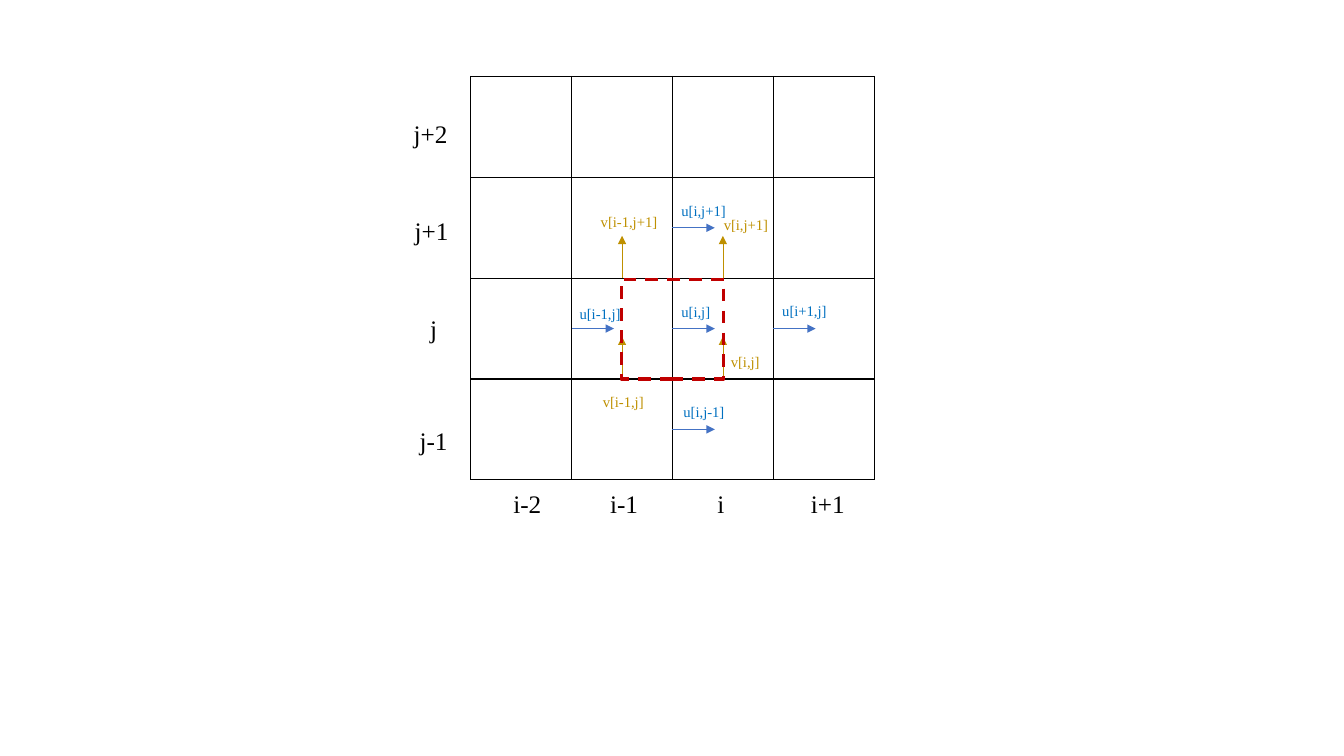
from lxml import etree
from pptx import Presentation
from pptx.dml.color import RGBColor
from pptx.enum.dml import MSO_LINE
from pptx.enum.shapes import MSO_CONNECTOR, MSO_SHAPE
from pptx.enum.text import MSO_AUTO_SIZE, PP_ALIGN
from pptx.oxml import parse_xml
from pptx.oxml.ns import nsdecls, qn
from pptx.util import Inches, Pt

LINE, RECT, DASH = MSO_CONNECTOR.STRAIGHT, MSO_SHAPE.RECTANGLE, MSO_LINE.DASH
GROW, LEFT, MID = MSO_AUTO_SIZE.SHAPE_TO_FIT_TEXT, PP_ALIGN.LEFT, PP_ALIGN.CENTER
BLACK = RGBColor(0x00, 0x00, 0x00)
BLUE = RGBColor(0x44, 0x72, 0xC4)
AZURE = RGBColor(0x00, 0x70, 0xC0)
GOLD = RGBColor(0xBF, 0x90, 0x00)
RED = RGBColor(0xC0, 0x00, 0x00)
FONT = "Times New Roman"

# Content: velocities as (label, grid column, grid row, label left, label top)
U_FLOWS = [
    ("u[i,j]", 2, 2, 6.66, 2.95),
    ("u[i,j-1]", 2, 3, 6.68, 3.95),
    ("u[i+1,j]", 3, 2, 7.66, 2.94),
    ("u[i-1,j]", 1, 2, 5.65, 2.97),
    ("u[i,j+1]", 2, 1, 6.66, 1.95),
]
V_FLOWS = [
    ("v[i,j]", 2, 3, 7.15, 3.45),
    ("v[i,j+1]", 2, 2, 7.08, 2.09),
    ("v[i-1,j]", 1, 3, 5.88, 3.85),
    ("v[i-1,j+1]", 1, 2, 5.86, 2.06),
]
# Index labels: (text, left, top)
INDICES = [
    ("i-2", 4.89, 4.8), ("i-1", 5.85, 4.8), ("i", 6.81, 4.8), ("i+1", 7.87, 4.8),
    ("j+2", 3.93, 1.12), ("j+1", 3.94, 2.09), ("j", 3.96, 3.06), ("j-1", 3.96, 4.17),
]

# Layout: unit cells, arrows start on cell edges
GRID_X, GRID_Y, COUNT, CELL = 4.67, 0.76, 4, 1
REACH = 0.42

deck = Presentation()
deck.slide_width, deck.slide_height = Inches(13.33), Inches(7.5)
slide = deck.slides.add_slide(deck.slide_layouts[6])
shapes = slide.shapes


def add_grid():
    side = Inches(COUNT * CELL)
    table = shapes.add_table(COUNT, COUNT, Inches(GRID_X), Inches(GRID_Y), side, side).table
    table.first_row = table.horz_banding = False
    for cell in table.iter_cells():
        props = cell._tc.get_or_add_tcPr()
        for edge in ("lnL", "lnR", "lnT", "lnB"):
            props.append(parse_xml(
                f'<a:{edge} {nsdecls("a")} w="{Pt(1)}"><a:solidFill>'
                f'<a:srgbClr val="{BLACK}"/></a:solidFill></a:{edge}>'))
        cell.fill.background()


def add_arrow(x, y, dx, dy, color):
    arrow = shapes.add_connector(
        LINE, Inches(x), Inches(y), Inches(x + dx), Inches(y + dy))
    arrow.line.color.rgb = color
    arrow.line.width = Pt(0.5)
    etree.SubElement(arrow.line._get_or_add_ln(), qn("a:tailEnd"), type="triangle")
    etree.SubElement(arrow._element.spPr, qn("a:effectLst"))


def add_label(text, x, y, width, height, size, color, align):
    frame = shapes.add_textbox(
        Inches(x), Inches(y), Inches(width), Inches(height)).text_frame
    frame.word_wrap = True
    frame.auto_size = GROW
    para = frame.paragraphs[0]
    para.alignment = align
    run = para.add_run()
    run.text = text
    run.font.name, run.font.size = FONT, Pt(size)
    run.font.color.rgb = color


add_grid()

# Arrows: u from the middle of left edges, v from the middle of top edges
for _, col, row, _, _ in U_FLOWS:
    add_arrow(GRID_X + col * CELL, GRID_Y + (row + 0.5) * CELL, REACH, 0, BLUE)
for _, col, row, _, _ in V_FLOWS:
    add_arrow(GRID_X + (col + 0.5) * CELL, GRID_Y + row * CELL, 0, -REACH, GOLD)

# Velocity labels
for flows, color in ((U_FLOWS, AZURE), (V_FLOWS, GOLD)):
    for text, _, _, x, y in flows:
        add_label(text, x, y, 1.21, 0.29, 10.5, color, LEFT)

# Staggered cell
box = shapes.add_shape(RECT, Inches(6.16), Inches(2.77), Inches(1.02), Inches(0.99))
box.shadow.inherit = False
box.fill.background()
box.line.color.rgb = RED
box.line.width = Pt(2.25)
box.line.dash_style = DASH

# Index labels
for text, x, y in INDICES:
    add_label(text, x, y, 0.68, 0.4, 18, BLACK, MID)

deck.save("out.pptx")
